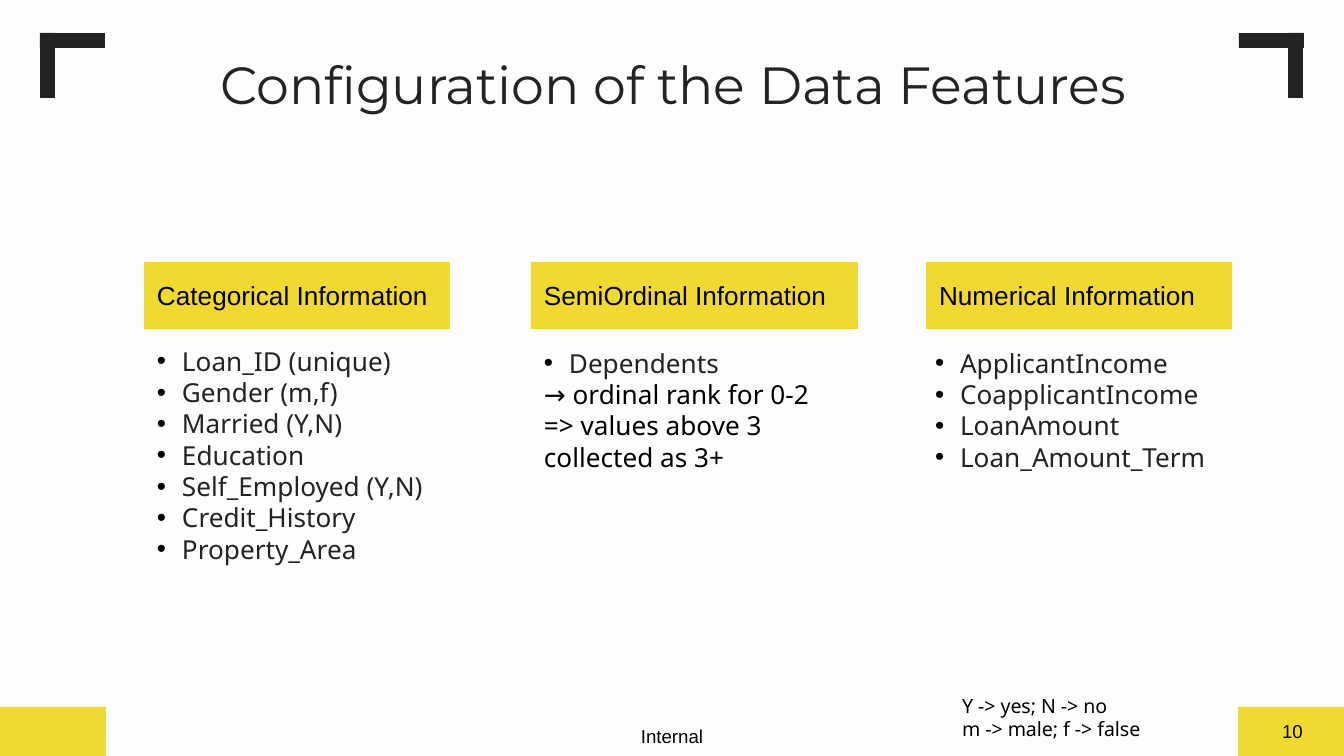
from dataclasses import dataclass

from lxml.etree import SubElement
from pptx import Presentation
from pptx.dml.color import RGBColor
from pptx.enum.shapes import MSO_SHAPE
from pptx.enum.text import MSO_ANCHOR, MSO_AUTO_SIZE, PP_ALIGN
from pptx.oxml.ns import qn
from pptx.util import Emu, Pt

PIXELS_PER_INCH = 134.4


@dataclass(frozen=True)
class Theme:
    """Colours, fonts and type sizes of the slide."""

    background: str = "FDFDFD"
    dark: str = "232323"
    yellow: str = "F0D931"
    black: str = "000000"
    title_font: str = "Montserrat"
    heading_font: str = "Arial"
    body_font: str = "Noto Sans"
    title_size: float = 28
    body_size: float = 14
    legend_size: float = 10.5
    footer_size: float = 10


@dataclass(frozen=True)
class Box:
    """A rectangle in px."""

    left: int
    top: int
    width: int
    height: int


@dataclass(frozen=True)
class Insets:
    """Text margins in px."""

    left: int = 13
    top: int = 7
    right: int = 13
    bottom: int = 7


@dataclass(frozen=True)
class Feature:
    """A column with a heading, bulleted items and plain remarks."""

    heading: str
    heading_box: Box
    list_box: Box
    items: tuple[str, ...]
    remarks: tuple[str, ...] = ()


THEME = Theme()
SLIDE = Box(0, 0, 1344, 756)
NO_INSETS = Insets(0, 0, 0, 0)
EVEN_INSETS = Insets(13, 13, 13, 13)
HEADING_TOP, HEADING_HEIGHT = 262, 67
BULLET_INDENT = 25

FEATURES = (
    Feature(
        "Categorical Information",
        Box(144, HEADING_TOP, 306, HEADING_HEIGHT),
        Box(144, 338, 306, 234),
        ("Loan_ID (unique)", "Gender (m,f)", "Married (Y,N)", "Education",
         "Self_Employed (Y,N)", "Credit_History", "Property_Area"),
    ),
    Feature(
        "SemiOrdinal Information",
        Box(531, HEADING_TOP, 327, HEADING_HEIGHT),
        Box(531, 340, 312, 140),
        ("Dependents",),
        ("→ ordinal rank for 0-2", "=> values above 3", "collected as 3+"),
    ),
    Feature(
        "Numerical Information",
        Box(926, HEADING_TOP, 306, HEADING_HEIGHT),
        Box(922, 340, 313, 140),
        ("ApplicantIncome", "CoapplicantIncome", "LoanAmount", "Loan_Amount_Term"),
    ),
)


def px(length: int) -> Emu:
    """Turn px into EMU."""
    return Emu(round(length * 914400 / PIXELS_PER_INCH))


def frame(box: Box) -> tuple[Emu, Emu, Emu, Emu]:
    """Return the box as left, top, width and height in EMU."""
    return px(box.left), px(box.top), px(box.width), px(box.height)


def set_frame(text_frame, insets: Insets, anchor=MSO_ANCHOR.TOP) -> None:
    """Set wrapping, margins and anchor of a text frame."""
    text_frame.word_wrap = True
    text_frame.auto_size = MSO_AUTO_SIZE.NONE
    text_frame.vertical_anchor = anchor
    text_frame.margin_left, text_frame.margin_top = px(insets.left), px(insets.top)
    text_frame.margin_right, text_frame.margin_bottom = px(insets.right), px(insets.bottom)


def format_runs(paragraph, font: str, size: float, colour: str) -> None:
    """Format every run of a paragraph."""
    for run in paragraph.runs:
        run.font.name = font
        run.font.size = Pt(size)
        run.font.color.rgb = RGBColor.from_string(colour)


def add_bullet(paragraph) -> None:
    """Give a paragraph a black round bullet and a hanging indent."""
    properties = paragraph._p.get_or_add_pPr()
    properties.set("marL", str(px(BULLET_INDENT)))
    properties.set("indent", str(-px(BULLET_INDENT)))
    colour = SubElement(properties, qn("a:buClr"))
    SubElement(colour, qn("a:srgbClr"), val=THEME.black)
    SubElement(properties, qn("a:buFont"), typeface="Arial")
    SubElement(properties, qn("a:buChar"), char="•")


def add_rectangle(slide, box: Box, colour: str):
    """Draw a filled rectangle without outline."""
    shape = slide.shapes.add_shape(MSO_SHAPE.RECTANGLE, *frame(box))
    shape.shadow.inherit = False
    shape.fill.solid()
    shape.fill.fore_color.rgb = RGBColor.from_string(colour)
    shape.line.fill.background()
    return shape


def add_text(slide, box: Box, text: str, font: str, size: float, insets: Insets = Insets()):
    """Add a text box in black and return its text frame."""
    text_frame = slide.shapes.add_textbox(*frame(box)).text_frame
    set_frame(text_frame, insets)
    text_frame.text = text
    for paragraph in text_frame.paragraphs:
        format_runs(paragraph, font, size, THEME.black)
    return text_frame


def add_decoration(slide) -> None:
    """Draw the dark corner brackets and the yellow footer blocks."""
    for left, upright_left in ((40, 40), (1239, 1288)):
        add_rectangle(slide, Box(upright_left, 33, 15, 65), THEME.dark)
        add_rectangle(slide, Box(left, 33, 65, 15), THEME.dark)
    for left in (0, SLIDE.width - 106):
        add_rectangle(slide, Box(left, 707, 106, 49), THEME.yellow)


def add_title(slide, text: str) -> None:
    """Place and format the title placeholder."""
    title = slide.shapes.title
    title.left, title.top, title.width, title.height = frame(Box(54, 39, 1238, 85))
    set_frame(title.text_frame, EVEN_INSETS)
    title.text_frame.text = text
    paragraph = title.text_frame.paragraphs[0]
    paragraph.alignment = PP_ALIGN.CENTER
    format_runs(paragraph, THEME.title_font, THEME.title_size, THEME.dark)


def add_feature(slide, feature: Feature) -> None:
    """Draw one column: heading bar and list."""
    heading = add_rectangle(slide, feature.heading_box, THEME.yellow).text_frame
    set_frame(heading, EVEN_INSETS, MSO_ANCHOR.MIDDLE)
    heading.text = feature.heading
    heading.paragraphs[0].alignment = PP_ALIGN.LEFT
    format_runs(heading.paragraphs[0], THEME.heading_font, THEME.body_size, THEME.black)

    lines = "\n".join(feature.items + feature.remarks)
    listing = add_text(slide, feature.list_box, lines, THEME.body_font, THEME.body_size)
    for paragraph in listing.paragraphs[:len(feature.items)]:
        add_bullet(paragraph)
        format_runs(paragraph, THEME.body_font, THEME.body_size, THEME.dark)


def main() -> None:
    """Build and save the slide."""
    presentation = Presentation()
    presentation.slide_width, presentation.slide_height = px(SLIDE.width), px(SLIDE.height)
    slide = presentation.slides.add_slide(presentation.slide_layouts[5])
    slide.background.fill.solid()
    slide.background.fill.fore_color.rgb = RGBColor.from_string(THEME.background)

    add_decoration(slide)
    add_title(slide, "Configuration of the Data Features")
    for feature in FEATURES:
        add_feature(slide, feature)
    add_text(slide, Box(949, 687, 233, 60), "Y -> yes; N -> no\nm -> male; f -> false",
             THEME.body_font, THEME.legend_size)
    add_text(slide, Box(641, 725, 67, 23), "Internal",
             THEME.heading_font, THEME.footer_size, NO_INSETS)
    add_text(slide, Box(1269, 713, 48, 36), "10",
             THEME.heading_font, THEME.footer_size, Insets(right=0))
    presentation.save("out.pptx")


if __name__ == "__main__":
    main()
